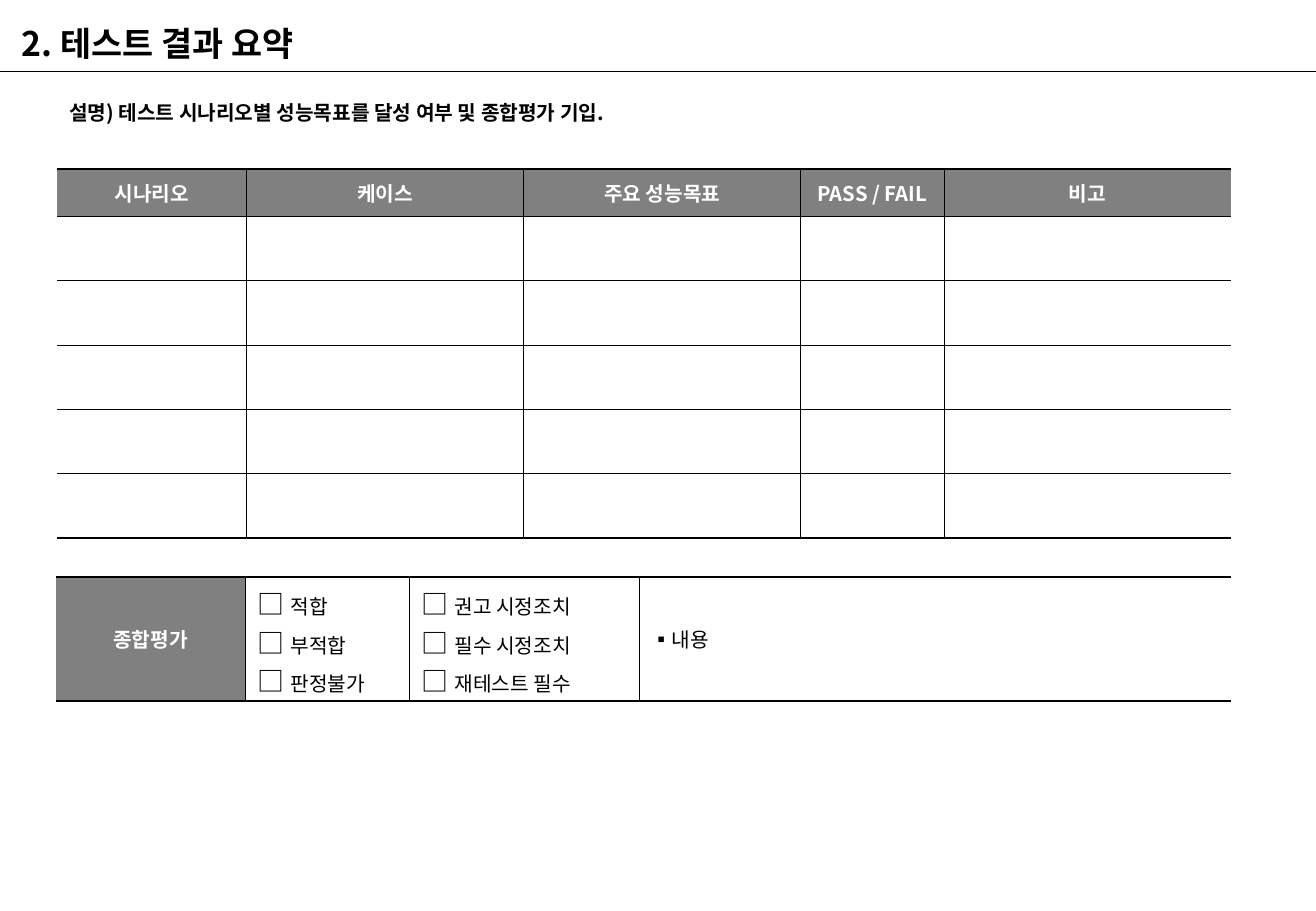
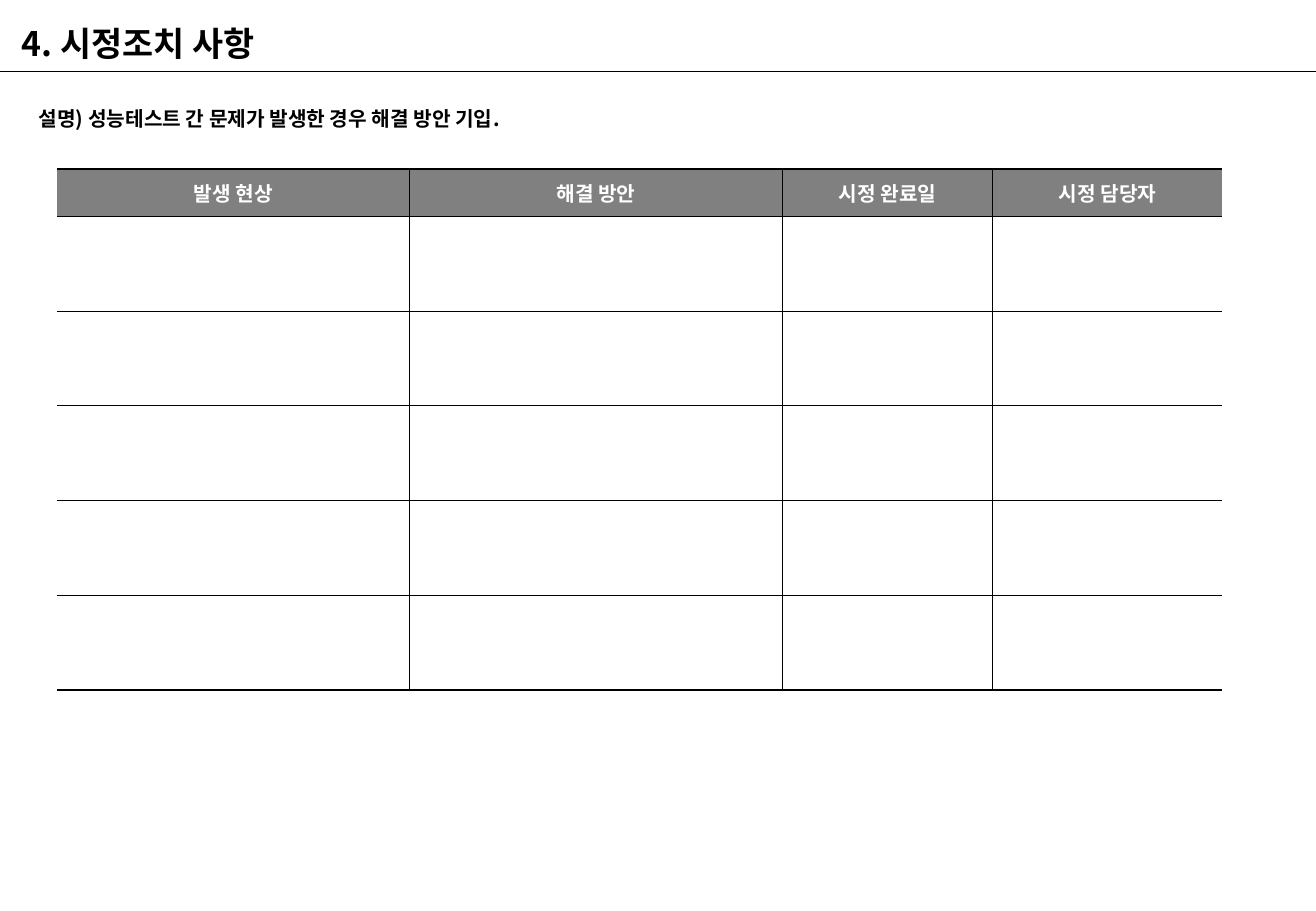
from lxml.etree import SubElement
from pptx import Presentation
from pptx.dml.color import RGBColor
from pptx.enum.text import MSO_ANCHOR, PP_ALIGN
from pptx.oxml.ns import qn
from pptx.util import Inches, Pt

FONT = "Noto Sans CJK KR"
COLORS = {"ink": "000000", "band": "808080", "reverse": "FFFFFF"}
WIDTH, HEIGHT = 10.83, 7.5
RULE_TOP = 0.59
TABLE_LEFT, TABLE_TOP = 0.47, 1.39
HEADER_HEIGHT, BODY_ROWS = 0.39, 5
THIN, THICK = 0.5, 1

SECTIONS = [
    {
        "title": "2. 테스트 결과 요약",
        "guide": "설명) 테스트 시나리오별 성능목표를 달성 여부 및 종합평가 기입.",
        "guide_at": (0.47, 0.71, 5.49, 0.37),
        "columns": [("시나리오", 1.56), ("케이스", 2.28), ("주요 성능목표", 2.28),
                    ("PASS / FAIL", 1.18), ("비고", 2.36)],
        "row_height": 0.53,
        "verdict": {
            "label": "종합평가",
            "choices": [["적합", "부적합", "판정불가"],
                        ["권고 시정조치", "필수 시정조치", "재테스트 필수"]],
            "remark": "내용",
            "widths": [1.56, 1.35, 1.89, 4.87],
            "at": (0.46, 4.75),
            "height": 1.02,
        },
    },
    {
        "title": "4. 시정조치 사항",
        "guide": "설명) 성능테스트 간 문제가 발생한 경우 해결 방안 기입.",
        "guide_at": (0.22, 0.76, 6.61, 0.37),
        "columns": [("발생 현상", 2.9), ("해결 방안", 3.07),
                    ("시정 완료일", 1.73), ("시정 담당자", 1.89)],
        "row_height": 0.78,
    },
]


def style_run(run, size, color="ink", bold=False):
    run.font.size = Pt(size)
    run.font.bold = bold
    run.font.color.rgb = RGBColor.from_string(COLORS[color])
    run.font.name = FONT
    SubElement(run.font._element, qn("a:ea"), typeface=FONT)


def add_text(slide, text, at, size, line_spacing):
    frame = slide.shapes.add_textbox(*map(Inches, at)).text_frame
    frame.word_wrap = True
    frame.text = text
    frame.paragraphs[0].line_spacing = line_spacing
    style_run(frame.paragraphs[0].runs[0], size, bold=True)


def add_rule(slide):
    rule = slide.shapes.add_connector(
        1, 0, Inches(RULE_TOP), Inches(WIDTH), Inches(RULE_TOP))
    rule.line.width = Pt(0.75)
    rule.line.color.rgb = RGBColor.from_string(COLORS["ink"])
    SubElement(rule._element.spPr, qn("a:effectLst"))


def set_borders(cell, widths):
    """Draw left, right, top and bottom borders; a width of 0 hides one."""
    properties = cell._tc.get_or_add_tcPr()
    for side, width in zip("LRTB", widths):
        edge = SubElement(properties, qn(f"a:ln{side}"), w=str(Pt(width)))
        if width:
            fill = SubElement(edge, qn("a:solidFill"))
            SubElement(fill, qn("a:srgbClr"), val=COLORS["ink"])
        else:
            SubElement(edge, qn("a:noFill"))


def add_grid(slide, left, top, widths, heights):
    """Add an unfilled table with open sides and heavier top and bottom edges."""
    last_row, last_column = len(heights) - 1, len(widths) - 1
    table = slide.shapes.add_table(
        len(heights), len(widths), Inches(left), Inches(top),
        Inches(sum(widths)), Inches(sum(heights))).table
    table.first_row = table.horz_banding = False
    for column, width in zip(table.columns, widths):
        column.width = Inches(width)
    for r, height in enumerate(heights):
        table.rows[r].height = Inches(height)
        for c in range(len(widths)):
            cell = table.cell(r, c)
            set_borders(cell, (THIN if c else 0,
                               THIN if c < last_column else 0,
                               THIN if r else THICK,
                               THIN if r < last_row else THICK))
            cell.fill.background()
            cell.vertical_anchor = MSO_ANCHOR.MIDDLE
    return table


def fill_heading(cell, text):
    cell.fill.solid()
    cell.fill.fore_color.rgb = RGBColor.from_string(COLORS["band"])
    cell.text_frame.text = text
    heading = cell.text_frame.paragraphs[0]
    heading.alignment = PP_ALIGN.CENTER
    style_run(heading.runs[0], 12, "reverse", bold=True)


def fill_choices(cell, choices):
    cell.margin_top, cell.margin_bottom = Inches(0.04), 0
    frame = cell.text_frame
    frame.text = "\n".join("□ " for _ in choices)
    for paragraph, choice in zip(frame.paragraphs, choices):
        style_run(paragraph.runs[0], 16)
        label = paragraph.add_run()
        label.text = choice
        style_run(label, 12)


def fill_remark(cell, text):
    cell.text_frame.text = text
    remark = cell.text_frame.paragraphs[0]
    properties = remark._p.get_or_add_pPr()
    indent = Inches(0.09)
    properties.set("marL", str(indent))
    properties.set("indent", str(-indent))
    SubElement(properties, qn("a:buFont"), typeface=FONT)
    SubElement(properties, qn("a:buChar"), char="▪")
    style_run(remark.runs[0], 12)


def add_verdict(slide, verdict):
    table = add_grid(slide, *verdict["at"], verdict["widths"], [verdict["height"]])
    label, *choice_cells, remark = table.rows[0].cells
    fill_heading(label, verdict["label"])
    for cell, choices in zip(choice_cells, verdict["choices"]):
        fill_choices(cell, choices)
    fill_remark(remark, verdict["remark"])


def add_section(deck, section):
    slide = deck.slides.add_slide(deck.slide_layouts[6])
    add_rule(slide)
    add_text(slide, section["title"], (0.08, 0.07, 5.34, 0.48), 20, 1.2)
    add_text(slide, section["guide"], section["guide_at"], 12, 1.35)
    headings, widths = zip(*section["columns"])
    heights = [HEADER_HEIGHT] + [section["row_height"]] * BODY_ROWS
    table = add_grid(slide, TABLE_LEFT, TABLE_TOP, widths, heights)
    for cell, heading in zip(table.rows[0].cells, headings):
        fill_heading(cell, heading)
    if "verdict" in section:
        add_verdict(slide, section["verdict"])


def main():
    deck = Presentation()
    deck.slide_width, deck.slide_height = Inches(WIDTH), Inches(HEIGHT)
    for section in SECTIONS:
        add_section(deck, section)
    deck.save("out.pptx")


if __name__ == "__main__":
    main()
